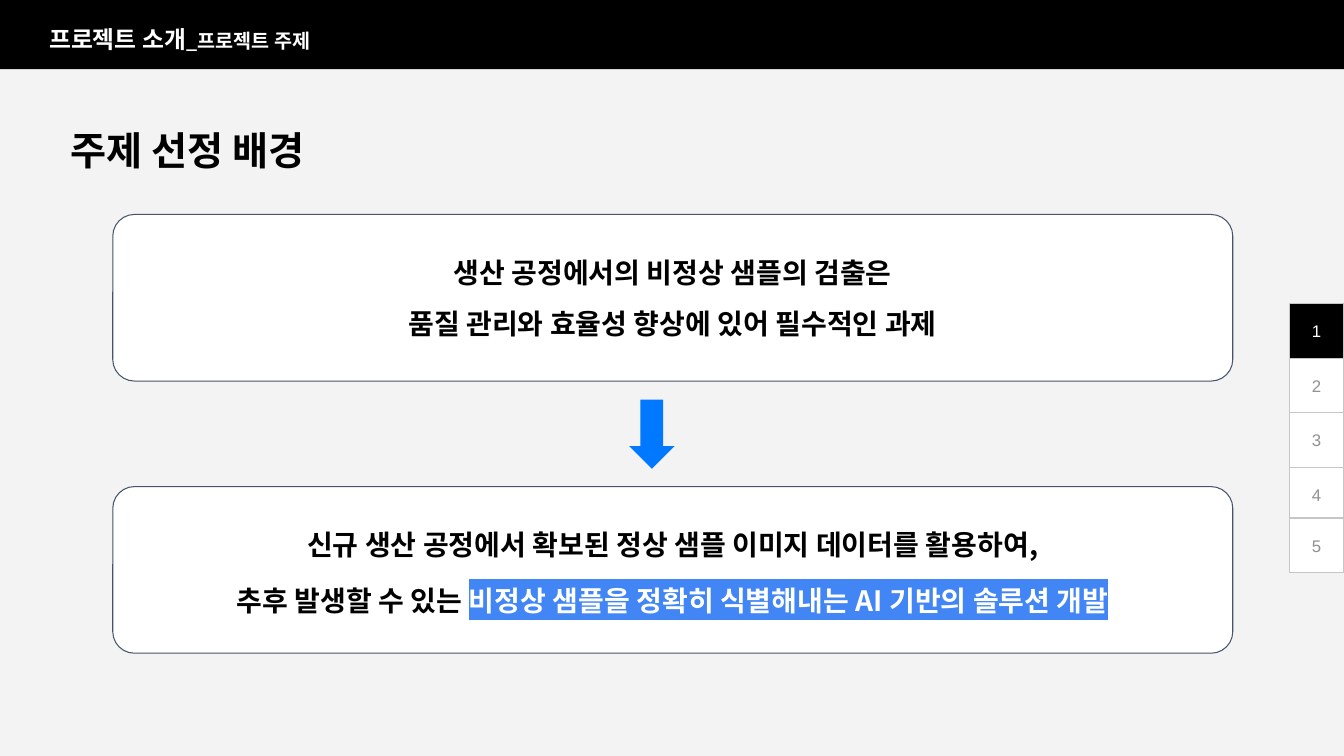
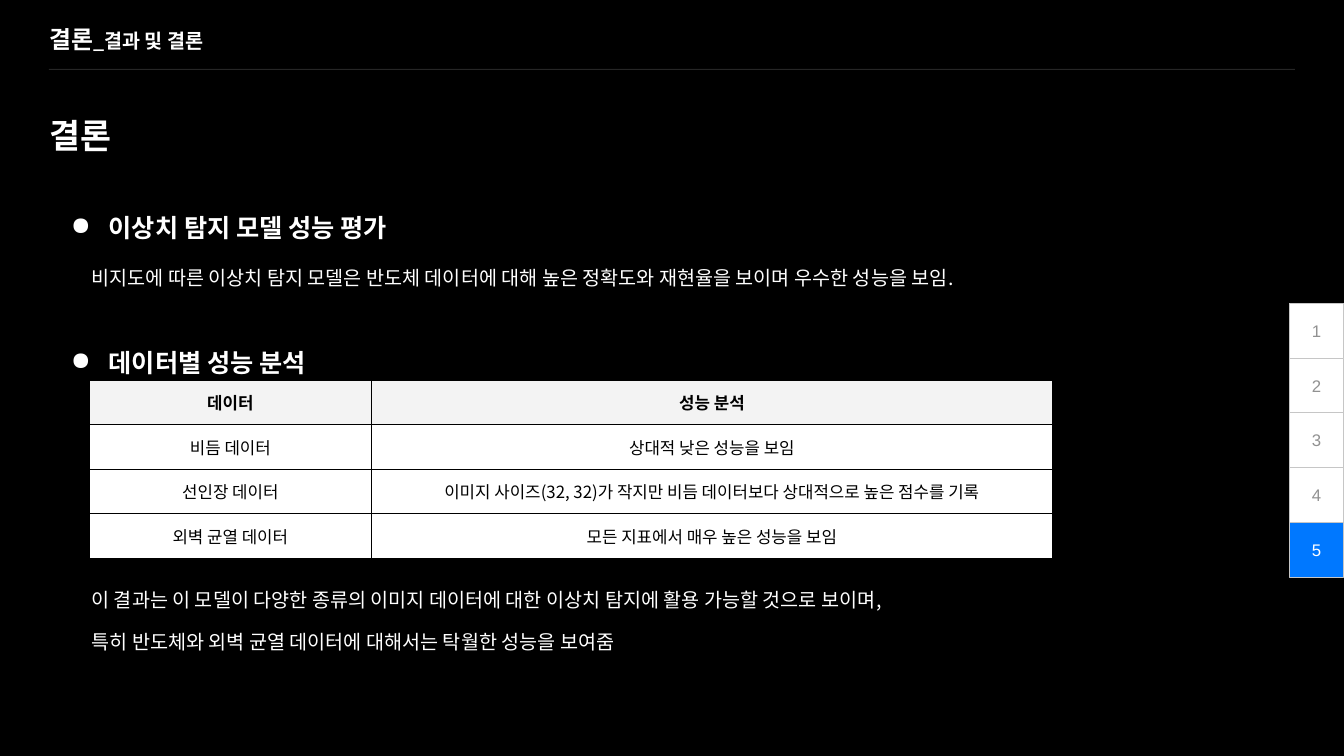
import lxml.etree
import pptx
import pptx.dml.color
import pptx.enum.dml
import pptx.enum.shapes
import pptx.enum.text
import pptx.oxml.ns
import pptx.util

Pt = pptx.util.Pt
RGB = pptx.dml.color.RGBColor
qn = pptx.oxml.ns.qn
SHAPE = pptx.enum.shapes.MSO_SHAPE
ANCHOR = pptx.enum.text.MSO_ANCHOR
ALIGN = pptx.enum.text.PP_ALIGN

BLACK = RGB(0x00, 0x00, 0x00)
WHITE = RGB(0xFF, 0xFF, 0xFF)
PALE = RGB(0xF3, 0xF3, 0xF3)
GREY = RGB(0x91, 0x91, 0x91)
EDGE = RGB(0xC6, 0xC6, 0xC6)
SLATE = RGB(0x44, 0x54, 0x6A)
BLUE = RGB(0x00, 0x78, 0xFF)
MARK = RGB(0x42, 0x85, 0xF4)

SANS = "Noto Sans CJK KR"
WIDE, HIGH = 960, 540
BAND = 49.5


def add(parent, tag, **attrs):
    return lxml.etree.SubElement(parent, qn(tag), attrs)


def paint(parent, color):
    """Add a solid fill to an XML element and return its colour node."""
    return add(add(parent, "a:solidFill"), "a:srgbClr", val=str(color))


def style(run, size, color, bold=False, face=SANS):
    font = run.font
    font.size, font.bold, font.name = Pt(size), bold, face
    add(run._r.get_or_add_rPr(), "a:ea", typeface=face)
    font.color.rgb = color


def highlight(run, color):
    props = run._r.get_or_add_rPr()
    node = add(props, "a:highlight")
    add(node, "a:srgbClr", val=str(color))
    props.find(qn("a:latin")).addprevious(node)


def write(frame, lines, size, color, bold=False, face=SANS,
          align=ALIGN.LEFT, anchor=ANCHOR.TOP, lead=None, gap=0, pad=7.2):
    frame.word_wrap = True
    frame.auto_size = pptx.enum.text.MSO_AUTO_SIZE.NONE
    frame.vertical_anchor = anchor
    frame.margin_left = frame.margin_right = Pt(7.2)
    frame.margin_top = frame.margin_bottom = Pt(pad)
    frame.text = "\n".join(lines)
    for i, para in enumerate(frame.paragraphs):
        para.alignment = align
        if lead:
            para.line_spacing = lead
        if i and gap:
            para.space_before = Pt(gap)
        for run in para.runs:
            style(run, size, color, bold, face)


def place(slide, box):
    return slide.shapes.add_textbox(*map(Pt, box)).text_frame


def draw(slide, kind, box, fill, line=None):
    shape = slide.shapes.add_shape(kind, *map(Pt, box))
    shape.shadow.inherit = False
    shape.fill.solid()
    shape.fill.fore_color.rgb = fill
    if line is None:
        shape.line.fill.background()
    else:
        shape.line.color.rgb = line
        shape.line.width = Pt(0.75)
    return shape


def start(deck, back):
    slide = deck.slides.add_slide(deck.slide_layouts[5])
    slide.background.fill.solid()
    slide.background.fill.fore_color.rgb = back
    return slide


def title(slide, text, box, size, color, **more):
    shape = slide.shapes.title
    shape.left, shape.top, shape.width, shape.height = map(Pt, box)
    write(shape.text_frame, [text], size, color, True, **more)


def header(slide, part, topic):
    frame = place(slide, (28, 14.4, 480, 28))
    write(frame, [part], 17, WHITE, True, pad=3.6)
    run = frame.paragraphs[0].add_run()
    run.text = "_" + topic
    style(run, 14, WHITE, True)


def tabs(slide, live, fill, last=373.1):
    """Draw the five page tabs; last is the top of the fifth."""
    left, top, side = 920.9, 216.7, 39.1
    for i in range(1, 6):
        y = last if i == 5 else top + (i - 1) * side
        on = i == live
        tab = draw(slide, SHAPE.RECTANGLE, (left, y, side, side),
                   fill if on else WHITE, EDGE)
        write(tab.text_frame, [str(i)], 12, WHITE if on else GREY,
              face="Arial", align=ALIGN.CENTER, anchor=ANCHOR.MIDDLE, pad=3.6)


def rule(slide, left, right, y):
    line = slide.shapes.add_connector(
        pptx.enum.shapes.MSO_CONNECTOR.STRAIGHT,
        Pt(left), Pt(y), Pt(right), Pt(y))
    line.line.width = Pt(0.75)
    line.line.color.rgb = WHITE
    tint = line.line._ln.find(".//" + qn("a:srgbClr"))
    add(tint, "a:alpha", val="15000")
    add(line._element.spPr, "a:effectLst")


def card(slide, box, lines, lead=None):
    shape = draw(slide, SHAPE.ROUNDED_RECTANGLE, box, WHITE, SLATE)
    shape.adjustments[0] = 0.13
    frame = shape.text_frame
    write(frame, lines, 20, BLACK, True, align=ALIGN.CENTER,
          anchor=ANCHOR.MIDDLE, lead=lead, gap=12)
    return frame


def bullet(slide, text, box):
    frame = place(slide, box)
    write(frame, [text], 18, WHITE, True, lead=1.8)
    props = frame.paragraphs[0]._p.get_or_add_pPr()
    props.set("marL", str(Pt(36)))
    props.set("indent", str(Pt(-27)))
    add(add(props, "a:buClr"), "a:srgbClr", val=str(WHITE))
    add(props, "a:buChar", char="●")


def border(cell):
    props = cell._tc.get_or_add_tcPr()
    for side in "LRTB":
        paint(add(props, "a:ln" + side, w=str(Pt(0.75))), BLACK)


def table(slide, left, top, cols, row, data):
    size = (sum(cols), row * len(data))
    grid = slide.shapes.add_table(
        len(data), len(cols), *map(Pt, (left, top, *size))).table
    grid.horz_banding = False
    for col, width in zip(grid.columns, cols):
        col.width = Pt(width)
    for i, texts in enumerate(data):
        grid.rows[i].height = Pt(row)
        for j, text in enumerate(texts):
            cell = grid.cell(i, j)
            border(cell)
            cell.fill.solid()
            cell.fill.fore_color.rgb = WHITE if i else PALE
            cell.margin_top = cell.margin_bottom = Pt(7.2)
            cell.vertical_anchor = ANCHOR.MIDDLE
            cell.text = text
            para = cell.text_frame.paragraphs[0]
            para.alignment = ALIGN.CENTER
            style(para.runs[0], 12, BLACK, i == 0)


def topic(deck):
    slide = start(deck, PALE)
    draw(slide, SHAPE.RECTANGLE, (0, 0, WIDE, BAND), BLACK)
    header(slide, "프로젝트 소개", "프로젝트 주제")
    tabs(slide, 1, BLACK, last=370)
    title(slide, "주제 선정 배경", (43, 83, 843, 55), 28, BLACK)
    left, wide, high = 80.6, 800, 119
    card(slide, (left, 153.2, wide, high),
         ["생산 공정에서의 비정상 샘플의 검출은",
          "품질 관리와 효율성 향상에 있어 필수적인 과제"])
    draw(slide, SHAPE.DOWN_ARROW, (449.4, 285.4, 32.4, 49.4), BLUE)
    goal = card(slide, (left, 347.6, wide, high),
                ["신규 생산 공정에서 확보된 정상 샘플 이미지 데이터를 활용하여,",
                 "추후 발생할 수 있는 "], lead=1.15)
    run = goal.paragraphs[1].add_run()
    run.text = "비정상 샘플을 정확히 식별해내는 AI 기반의 솔루션 개발"
    style(run, 20, WHITE, True)
    highlight(run, MARK)


def finish(deck):
    slide = start(deck, BLACK)
    rule(slide, 35, 925, BAND)
    header(slide, "결론", "결과 및 결론")
    tabs(slide, 5, BLUE)
    title(slide, "결론", (28, 75.6, 544, 36), 24, WHITE, lead=1.1, pad=3.6)
    bullet(slide, "이상치 탐지 모델 성능 평가", (34.6, 127.4, 360, 36))
    write(place(slide, (58.3, 169.2, 806, 32)),
          ["비지도에 따른 이상치 탐지 모델은 반도체 데이터에 대해 높은 정확도와 "
           "재현율을 보이며 우수한 성능을 보임."], 14, WHITE, lead=1.8)
    bullet(slide, "데이터별 성능 분석", (34.6, 224, 264, 36))
    table(slide, 64.1, 271.6, (201, 487), 28.8, [
        ("데이터", "성능 분석"),
        ("비듬 데이터", "상대적 낮은 성능을 보임"),
        ("선인장 데이터",
         "이미지 사이즈(32, 32)가 작지만 비듬 데이터보다 상대적으로 높은 점수를 기록"),
        ("외벽 균열 데이터", "모든 지표에서 매우 높은 성능을 보임"),
    ])
    write(place(slide, (58.3, 399, 756, 83.5)),
          ["이 결과는 이 모델이 다양한 종류의 이미지 데이터에 대한 이상치 탐지에 "
           "활용 가능할 것으로 보이며,",
           "특히 반도체와 외벽 균열 데이터에 대해서는 탁월한 성능을 보여줌"],
          14, WHITE, lead=1.8)


def main():
    deck = pptx.Presentation()
    deck.slide_width, deck.slide_height = Pt(WIDE), Pt(HIGH)
    topic(deck)
    finish(deck)
    deck.save("out.pptx")


if __name__ == "__main__":
    main()
